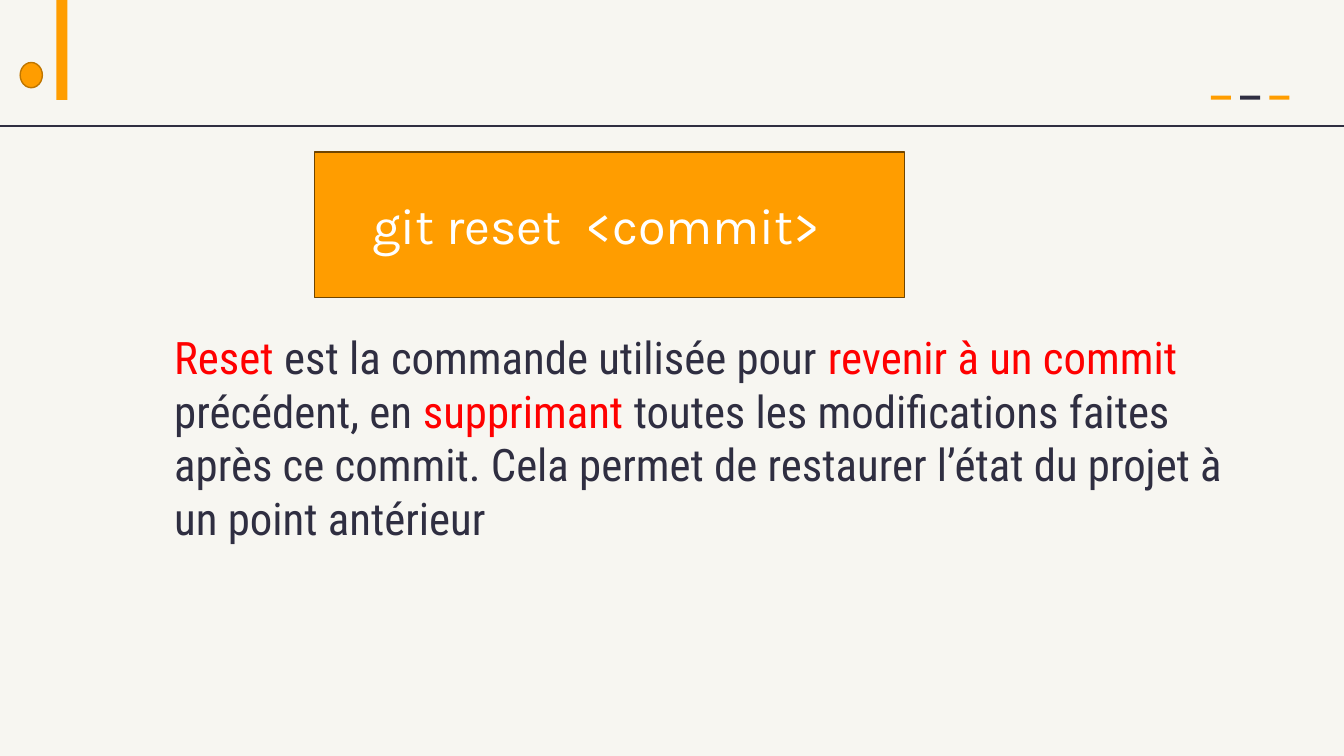
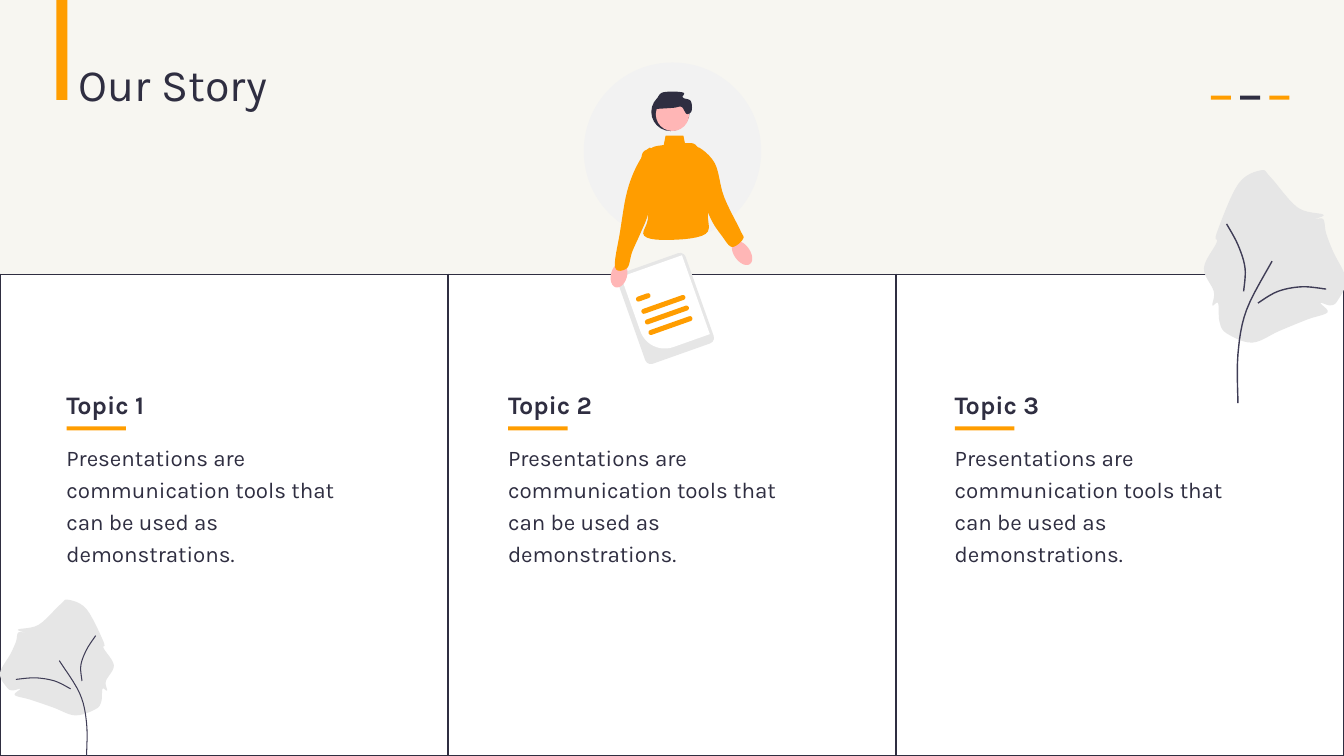
import lxml.etree
import pptx
import pptx.dml.color
import pptx.enum.shapes
import pptx.enum.text
import pptx.oxml
import pptx.oxml.ns
import pptx.util

Inches = pptx.util.Inches
Pt = pptx.util.Pt
Shape = pptx.enum.shapes.MSO_SHAPE
Anchor = pptx.enum.text.MSO_ANCHOR
Align = pptx.enum.text.PP_ALIGN
colour = pptx.dml.color.RGBColor.from_string
qn = pptx.oxml.ns.qn

ORANGE = "FF9D00"
NAVY = "2F2E41"
CREAM = "F7F6F1"
WHITE = "FFFFFF"
RED = "FF0000"
SKIN = "FFB6B6"
PALE = "F2F2F2"
GREY = "E6E6E6"
VEIN = "3F3D56"
HEAD_FONT = "Karla"
BODY_FONT = "Roboto Condensed"


def paint(shape, fill=None, line=None, width=1):
    shape.shadow.inherit = False
    if fill:
        shape.fill.solid()
        shape.fill.fore_color.rgb = colour(fill)
    else:
        shape.fill.background()
    if line:
        shape.line.color.rgb = colour(line)
        shape.line.width = Pt(width)
    else:
        shape.line.fill.background()
    return shape


def add_curve(page, anchors, closed, steps=6):
    count = len(anchors)
    spots = [anchors[0]]
    for index in range(count if closed else count - 1):
        near = [index - 1, index, index + 1, index + 2]
        if closed:
            near = [place % count for place in near]
        else:
            near = [min(max(place, 0), count - 1) for place in near]
        for step in range(1, steps + 1):
            t = step / steps
            weights = (
                (-t + 2 * t ** 2 - t ** 3) / 2,
                (2 - 5 * t ** 2 + 3 * t ** 3) / 2,
                (t + 4 * t ** 2 - 3 * t ** 3) / 2,
                (t ** 3 - t ** 2) / 2,
            )
            spots.append([sum(weight * anchors[place][axis]
                              for weight, place in zip(weights, near)) for axis in (0, 1)])
    corners = [(Inches(x), Inches(y)) for x, y in spots]
    builder = page.shapes.build_freeform(*corners[0])
    builder.add_line_segments(corners[1:], close=closed)
    return builder.convert_to_shape()


deck = pptx.Presentation()
deck.slide_width = Inches(13.33)
deck.slide_height = Inches(7.5)
backdrop = deck.slide_master.background.fill
backdrop.solid()
backdrop.fore_color.rgb = colour(CREAM)

reset_page = deck.slides.add_slide(deck.slide_layouts[6])
story_page = deck.slides.add_slide(deck.slide_layouts[5])

header_marks = [(0.56, 0, 0.11, 0.99, ORANGE)]
for index, dash_colour in enumerate((ORANGE, NAVY, ORANGE)):
    header_marks.append((12.01 + 0.29 * index, 0.95, 0.2, 0.04, dash_colour))
for page in (reset_page, story_page):
    for *frame, mark_colour in header_marks:
        paint(page.shapes.add_shape(Shape.RECTANGLE, *map(Inches, frame)), mark_colour)

rule = reset_page.shapes.add_connector(
    pptx.enum.shapes.MSO_CONNECTOR.STRAIGHT, 0, Inches(1.25), deck.slide_width, Inches(1.25))
rule.line.color.rgb = colour(NAVY)
rule.line.width = Pt(1)
lxml.etree.SubElement(rule._element.spPr, qn("a:effectLst"))

dot = reset_page.shapes.add_shape(
    Shape.OVAL, Inches(0.2), Inches(0.62), Inches(0.22), Inches(0.25))
paint(dot, ORANGE, "BF7600")

command_box = reset_page.shapes.add_shape(
    Shape.RECTANGLE, Inches(3.12), Inches(1.51), Inches(5.85), Inches(1.44))
paint(command_box, ORANGE, "704500")
command_box.text_frame.margin_right = Inches(0.36)
command_box.text_frame.vertical_anchor = Anchor.MIDDLE
para = command_box.text_frame.paragraphs[0]
para.text = "git reset  <commit>"
para.alignment = Align.CENTER
para.font.name = HEAD_FONT
para.font.size = Pt(36)
para.font.color.rgb = colour(WHITE)

box = reset_page.shapes.add_textbox(Inches(1.63), Inches(3.22), Inches(10.87), Inches(2.26))
box.text_frame.word_wrap = True
para = box.text_frame.paragraphs[0]
para.font.name = BODY_FONT
para.font.size = Pt(32)
for text, text_colour in (
    ("Reset", RED),
    (" est la commande utilisée pour ", NAVY),
    ("revenir à un commit ", RED),
    ("précédent, en ", NAVY),
    ("supprimant", RED),
    (" toutes les modifications faites après ce commit. Cela permet de restaurer "
     "l’état du projet à un point antérieur", NAVY),
):
    span = para.add_run()
    span.text = text
    span.font.color.rgb = colour(text_colour)

title = story_page.shapes.title
title.left, title.top = Inches(0.68), Inches(0.51)
title.width, title.height = Inches(7.43), Inches(0.64)
title.text_frame.vertical_anchor = Anchor.TOP
para = title.text_frame.paragraphs[0]
para.text = "Our Story"
para.alignment = Align.LEFT
para.font.name = HEAD_FONT
para.font.size = Pt(32)
para.font.color.rgb = colour(NAVY)

table = story_page.shapes.add_table(
    1, 3, 0, Inches(2.72), deck.slide_width, Inches(4.78)).table
table.first_row = False
table.horz_banding = False
for cell in table.iter_cells():
    cell.fill.solid()
    cell.fill.fore_color.rgb = colour(WHITE)
    properties = cell._tc.get_or_add_tcPr()
    for index, side in enumerate(("lnL", "lnR", "lnT", "lnB")):
        border = pptx.oxml.parse_xml(
            f'<a:{side} xmlns:a="http://schemas.openxmlformats.org/drawingml/2006/main" '
            f'w="{Pt(1)}"><a:solidFill><a:srgbClr val="{NAVY}"/></a:solidFill></a:{side}>')
        properties.insert(index, border)

SHEET_TILT = -19.5
halo = (Shape.OVAL, 6.67, 1.5, 1.76, 1.76, 0, None, PALE)
sheet_edge = (Shape.ROUNDED_RECTANGLE, 6.6, 3.06, 0.72, 0.95, SHEET_TILT, 0.08, GREY)
sheet_face = (Shape.ROUND_1_RECTANGLE, 6.6, 3.03, 0.64, 0.83, SHEET_TILT + 180, 0.4, WHITE)
heading_line = (Shape.ROUNDED_RECTANGLE, 6.38, 2.95, 0.15, 0.05, SHEET_TILT, 0.5, ORANGE)
text_lines = [
    (Shape.ROUNDED_RECTANGLE, 6.58 + 0.035 * row, 3.02 + 0.105 * row,
     0.46, 0.05, SHEET_TILT, 0.5, ORANGE)
    for row in range(3)
]
left_hand = (Shape.OVAL, 6.14, 2.73, 0.16, 0.25, 15, None, SKIN)
right_hand = (Shape.OVAL, 7.36, 2.51, 0.16, 0.27, -35, None, SKIN)
collar = (Shape.TRAPEZOID, 6.69, 1.4, 0.22, 0.11, 0, 0.2, ORANGE)
back_hair = (Shape.OVAL, 6.65, 1.11, 0.38, 0.38, 0, None, NAVY)
face = (Shape.OVAL, 6.67, 1.135, 0.33, 0.33, 0, None, SKIN)

for kind, centre, middle, width, height, tilt, rounding, fill in (
    halo, sheet_edge, sheet_face, heading_line, *text_lines,
    left_hand, right_hand, collar, back_hair, face,
):
    part = story_page.shapes.add_shape(
        kind, Inches(centre - width / 2), Inches(middle - height / 2),
        Inches(width), Inches(height))
    paint(part, fill)
    part.rotation = tilt
    if rounding is not None:
        part.adjustments[0] = rounding

torso = [(6.58, 1.44), (6.46, 1.47), (6.36, 1.58), (6.43, 2.12), (6.39, 2.34),
         (6.67, 2.38), (7, 2.32), (7.02, 2.11), (7.03, 1.75), (6.92, 1.46), (6.79, 1.42)]
left_arm = [(6.46, 1.47), (6.33, 1.62), (6.22, 1.9), (6.15, 2.3), (6.1, 2.65),
            (6.22, 2.66), (6.27, 2.5), (6.35, 2.32), (6.43, 2.12), (6.5, 1.8)]
right_arm = [(6.92, 1.46), (7.09, 1.62), (7.18, 1.95), (7.34, 2.28), (7.37, 2.37),
             (7.26, 2.45), (7.16, 2.34), (7.05, 2.17), (6.95, 1.9), (6.93, 1.6)]
fringe = [(6.52, 1.08), (6.68, 1.07), (6.76, 1.06), (6.81, 1.13), (6.86, 1.1),
          (6.85, 1), (6.77, 0.97), (6.78, 0.92), (6.63, 0.91), (6.54, 0.94), (6.49, 1.08)]
for outline, fill in (
    (torso, ORANGE), (left_arm, ORANGE), (right_arm, ORANGE), (fringe, NAVY),
):
    paint(add_curve(story_page, outline, closed=True), fill)

leaf_blade = [
    (0.34, 0.74), (0.16, 0.7), (0.11, 0.65), (0.1, 0.57), (0.06, 0.58), (0.07, 0.52),
    (0, 0.42), (0.09, 0.31), (0.09, 0.27), (0.24, 0.06), (0.4, 0), (0.47, 0.03),
    (0.66, 0.16), (0.84, 0.19), (0.78, 0.21), (0.84, 0.21), (0.86, 0.27), (0.91, 0.35),
    (1, 0.47), (0.94, 0.56), (0.89, 0.58), (0.82, 0.57), (0.87, 0.61), (0.73, 0.64),
    (0.53, 0.69),
]
stem = [(0.24, 1), (0.24, 0.79), (0.3, 0.6), (0.48, 0.39)]
outer_vein = [(0.38, 0.57), (0.52, 0.52), (0.69, 0.5), (0.86, 0.51)]
inner_vein = [(0.16, 0.23), (0.24, 0.32), (0.29, 0.42), (0.28, 0.52)]
for left, top, width, height, mirrored, vein_width in (
    (11.94, 1.69, 1.41, 2.31, False, 1),
    (0, 5.95, 1.13, 1.55, True, 0.75),
):
    for curve in (leaf_blade, stem, outer_vein, inner_vein):
        anchors = [(left + width * (1 - x if mirrored else x), top + height * y)
                   for x, y in curve]
        if curve is leaf_blade:
            paint(add_curve(story_page, anchors, closed=True), GREY)
        else:
            paint(add_curve(story_page, anchors, closed=False), line=VEIN, width=vein_width)

summary = "Presentations are communication tools that can be used as demonstrations."
for number, left in enumerate((0.56, 4.94, 9.37), start=1):
    for text, top, height, size, bold in (
        (summary, 4.3, 1.38, 16, False),
        (f"Topic {number}", 3.75, 0.45, 18, True),
    ):
        box = story_page.shapes.add_textbox(
            Inches(left), Inches(top), Inches(3.18), Inches(height))
        box.text_frame.word_wrap = True
        para = box.text_frame.paragraphs[0]
        para.text = text
        para.line_spacing = 1.2
        para.font.name = HEAD_FONT
        para.font.size = Pt(size)
        para.font.bold = bold
        para.font.color.rgb = colour(NAVY)
    underline = story_page.shapes.add_shape(
        Shape.RECTANGLE, Inches(left + 0.1), Inches(4.23), Inches(0.59), Inches(0.04))
    paint(underline, ORANGE)

deck.save("out.pptx")
